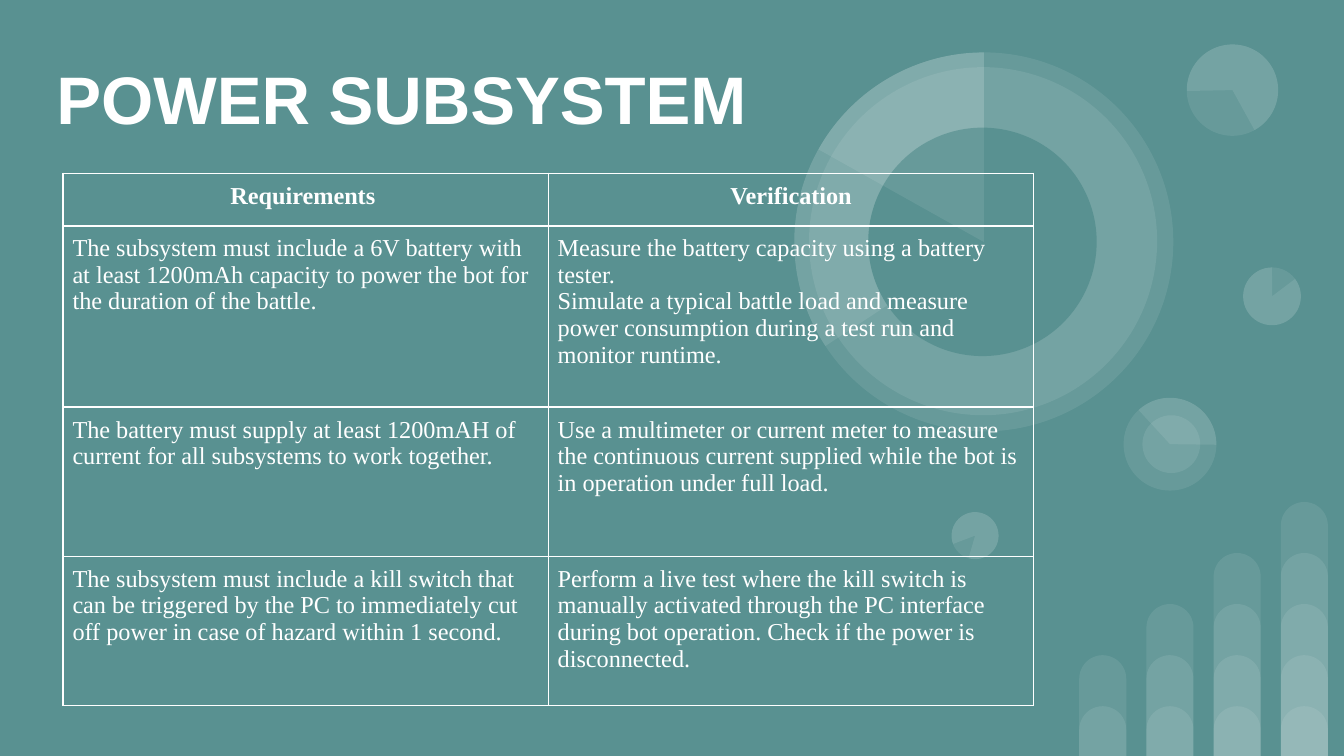
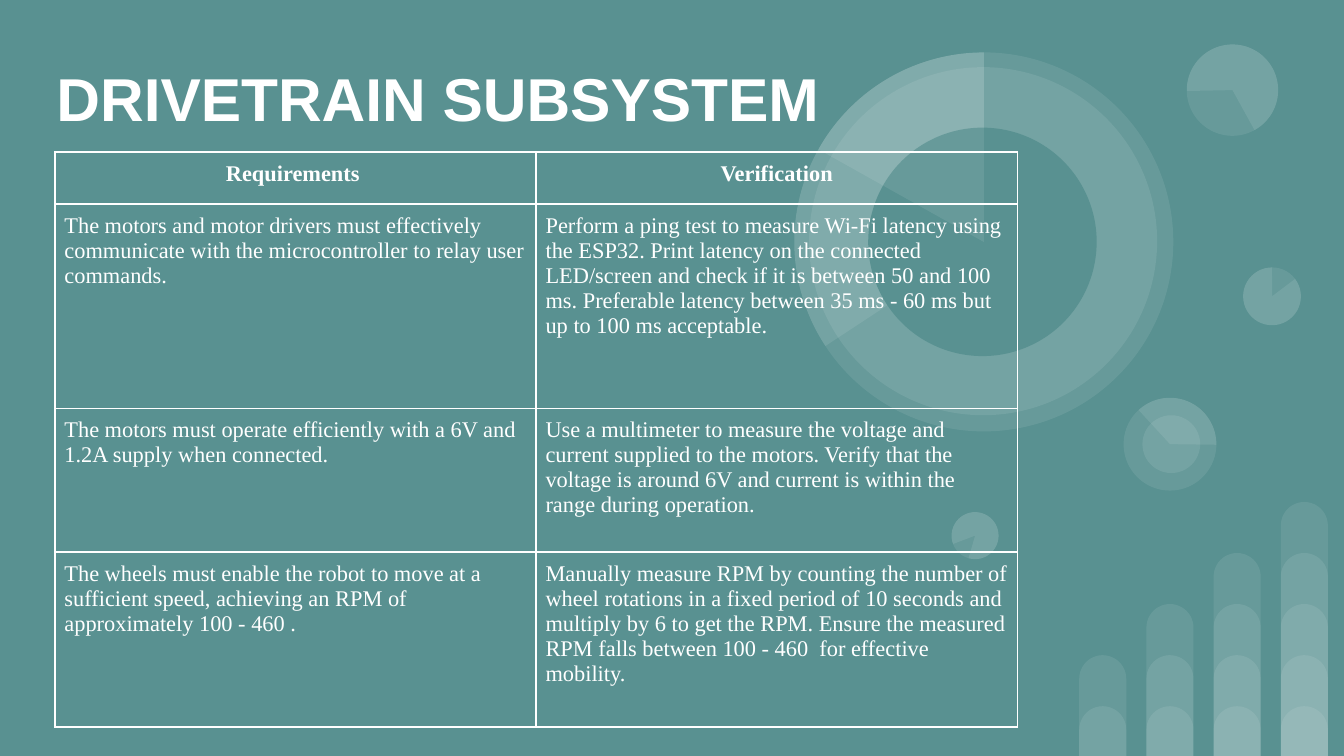
from dataclasses import dataclass

from lxml.etree import SubElement
from pptx import Presentation
from pptx.dml.color import RGBColor
from pptx.enum.shapes import MSO_SHAPE
from pptx.enum.text import MSO_ANCHOR, MSO_AUTO_SIZE, PP_ALIGN
from pptx.oxml import parse_xml
from pptx.oxml.ns import nsdecls, qn
from pptx.util import Inches, Pt


@dataclass(frozen=True)
class Theme:
    background: str = "599191"
    foreground: str = "FFFFFF"
    title_font: str = "Arial"
    body_font: str = "Times New Roman"
    veil_opacity: int = 9  # percent
    border_width: float = 1
    cell_margin: float = 0.07
    title_margin: float = 0.1


THEME = Theme()
WIDTH = 10
HEIGHT = WIDTH * 9 / 16
TITLE_ONLY = 5
HEADERS = ["Requirements ", "Verification"]

# Each frame: left, top, diameter, rotation
RING = (5.91, 0.39, 2.82, 0)
TOP_PIE = (8.83, 0.33, 0.68, 215.9)
RIGHT_PIE = (9.25, 1.99, 0.43, 0)
LOW_PIE = (7.08, 3.81, 0.35, 196.2)
DONUT = (8.36, 2.96, 0.69, 90)

# Back to front: a frame, then None for a disc, "hole" for a disc in the
# background colour, or the start and end angle of a wedge in degrees
DISCS_AND_WEDGES = [
    (RIGHT_PIE, None),
    (LOW_PIE, None),
    (DONUT, None),
    (DONUT, (137.41, 270.77)),
    ((8.5, 3.09, 0.43, 90), None),
    (RIGHT_PIE, (322.95, 270)),
    (TOP_PIE, None),
    (TOP_PIE, (322.95, 205.23)),
    (RING, None),
    ((6.02, 0.5, 2.59, 34.1), None),
    (RING, (146.69, 270)),
    ((6.46, 0.95, 1.7, 34.1), "hole"),
    (RING, (209.24, 270)),
    (LOW_PIE, (322.95, 270)),
]

SUBSYSTEMS = [
    {
        "title": "POWER SUBSYSTEM", "title_width": 7.79, "title_size": 36,
        "left": 0.47, "top": 1.29, "column": 3.61,
        "rows": [0.39, 1.35, 1.11, 1.11], "text_size": 13,
        "checks": [
            ["The subsystem must include a 6V battery with at least 1200mAh "
             "capacity to power the bot for the duration of the battle.",
             "Measure the battery capacity using a battery tester.\n"
             "Simulate a typical battle load and measure power consumption "
             "during a test run and monitor runtime."],
            ["The battery must supply at least 1200mAH of current for all "
             "subsystems to work together.",
             "Use a multimeter or current meter to measure the continuous "
             "current supplied while the bot is in operation under full load."],
            ["The subsystem must include a kill switch that can be triggered by "
             "the PC to immediately cut off power in case of hazard within 1 second.",
             "Perform a live test where the kill switch is manually activated "
             "through the PC interface during bot operation. Check if the power "
             "is disconnected."],
        ],
    },
    {
        "title": "DRIVETRAIN SUBSYSTEM", "title_width": 5.88, "title_size": 32.4,
        "left": 0.41, "top": 1.13, "column": 3.58,
        "rows": [0.39, 1.52, 1.07, 1.3], "text_size": 12,
        "checks": [
            ["The motors and motor drivers must effectively communicate with the "
             "microcontroller to relay user commands.",
             "Perform a ping test to measure Wi-Fi latency using the ESP32. Print "
             "latency on the connected LED/screen and check if it is between 50 "
             "and 100 ms. Preferable latency between 35 ms - 60 ms but up to "
             "100 ms acceptable."],
            ["The motors must operate efficiently with a 6V and 1.2A supply when "
             "connected.",
             "Use a multimeter to measure the voltage and current supplied to the "
             "motors. Verify that the voltage is around 6V and current is within "
             "the range during operation."],
            ["The wheels must enable the robot to move at a sufficient speed, "
             "achieving an RPM of approximately 100 - 460 .",
             "Manually measure RPM by counting the number of wheel rotations in a "
             "fixed period of 10 seconds and multiply by 6 to get the RPM. Ensure "
             "the measured RPM falls between 100 - 460  for effective mobility."],
        ],
    },
]


def set_values(target, values):
    for name, value in values.items():
        setattr(target, name, value)


def set_margins(target, margin):
    sides = ("left", "right", "top", "bottom")
    set_values(target, {f"margin_{side}": Inches(margin) for side in sides})


def write_text(text_frame, text, font, size, bold, alignment):
    text_frame.text = text
    for paragraph in text_frame.paragraphs:
        paragraph.alignment = alignment
        for run in paragraph.runs:
            set_values(run.font, {"name": font, "size": Pt(size), "bold": bold})
            run.font.color.rgb = RGBColor.from_string(THEME.foreground)


# Backdrop
def add_plain_shape(group, kind, box, adjustments=(), rotation=0, opaque=False):
    shape = group.shapes.add_shape(kind, *map(Inches, box))
    shape.rotation = rotation
    shape.shadow.inherit = False
    for index, value in enumerate(adjustments):
        shape.adjustments[index] = value
    shape.fill.solid()
    color = THEME.background if opaque else THEME.foreground
    shape.fill.fore_color.rgb = RGBColor.from_string(color)
    if not opaque:
        color_element = shape.element.spPr.find(".//" + qn("a:srgbClr"))
        SubElement(color_element, qn("a:alpha"), val=str(THEME.veil_opacity * 1000))
    shape.line.fill.background()


def add_bars(group):
    for column in range(4):
        for level in range(column + 2):
            height = 0.37 + 0.38 * level
            box = (8.03 + 0.5 * column, HEIGHT - height, 0.35, height)
            add_plain_shape(group, MSO_SHAPE.ROUND_2_SAME_RECTANGLE, box, (0.5, 0))


def add_pies(group):
    for (left, top, diameter, rotation), part in DISCS_AND_WEDGES:
        box = (left, top, diameter, diameter)
        if part in (None, "hole"):
            add_plain_shape(group, MSO_SHAPE.OVAL, box, (), rotation, part == "hole")
        else:
            # Angles are stored in 60000ths of a degree, adjustments in 100000ths
            angles = [angle * 0.6 for angle in part]
            add_plain_shape(group, MSO_SHAPE.PIE, box, angles, rotation)


def add_backdrop(presentation, layout, slide):
    fill = presentation.slide_master.background.fill
    fill.solid()
    fill.fore_color.rgb = RGBColor.from_string(THEME.background)
    # Drawn on a slide, then moved to the layout that all slides share
    for draw in (add_bars, add_pies):
        group = slide.shapes.add_group_shape()
        draw(group)
        layout.shapes.element.append(group.element)


# Slide content
def add_title(slide, subsystem):
    title = slide.shapes.title
    set_values(title, {
        "left": Inches(0.32), "top": Inches(0.23),
        "width": Inches(subsystem["title_width"]), "height": Inches(0.99),
    })
    set_values(title.text_frame, {
        "word_wrap": True, "auto_size": MSO_AUTO_SIZE.NONE,
        "vertical_anchor": MSO_ANCHOR.MIDDLE,
    })
    set_margins(title.text_frame, THEME.title_margin)
    write_text(title.text_frame, subsystem["title"], THEME.title_font,
               subsystem["title_size"], True, PP_ALIGN.LEFT)


def add_borders(cell):
    properties = cell._tc.get_or_add_tcPr()
    for index, side in enumerate(("lnL", "lnR", "lnT", "lnB")):
        properties.insert(index, parse_xml(
            f'<a:{side} {nsdecls("a")} w="{Pt(THEME.border_width)}"><a:solidFill>'
            f'<a:srgbClr val="{THEME.foreground}"/></a:solidFill></a:{side}>'))


def add_requirements_table(slide, subsystem):
    heights = subsystem["rows"]
    box = (subsystem["left"], subsystem["top"],
           subsystem["column"] * len(HEADERS), sum(heights))
    table = slide.shapes.add_table(len(heights), len(HEADERS), *map(Inches, box)).table
    set_values(table, {"first_row": False, "horz_banding": False})
    for column in table.columns:
        column.width = Inches(subsystem["column"])
    for index, texts in enumerate([HEADERS] + subsystem["checks"]):
        row = table.rows[index]
        row.height = Inches(heights[index])
        is_header = index == 0
        alignment = PP_ALIGN.CENTER if is_header else PP_ALIGN.LEFT
        for cell, text in zip(row.cells, texts):
            set_margins(cell, THEME.cell_margin)
            cell.fill.background()
            add_borders(cell)
            write_text(cell.text_frame, text, THEME.body_font,
                       subsystem["text_size"], is_header, alignment)


def main():
    presentation = Presentation()
    set_values(presentation, {
        "slide_width": Inches(WIDTH), "slide_height": Inches(HEIGHT),
    })
    layout = presentation.slide_layouts[TITLE_ONLY]
    # Only the title placeholder is needed
    for placeholder in list(layout.placeholders)[1:]:
        layout.shapes.element.remove(placeholder.element)
    slides = [presentation.slides.add_slide(layout) for _ in SUBSYSTEMS]
    add_backdrop(presentation, layout, slides[0])
    for slide, subsystem in zip(slides, SUBSYSTEMS):
        add_title(slide, subsystem)
        add_requirements_table(slide, subsystem)
    presentation.save("out.pptx")


if __name__ == "__main__":
    main()
